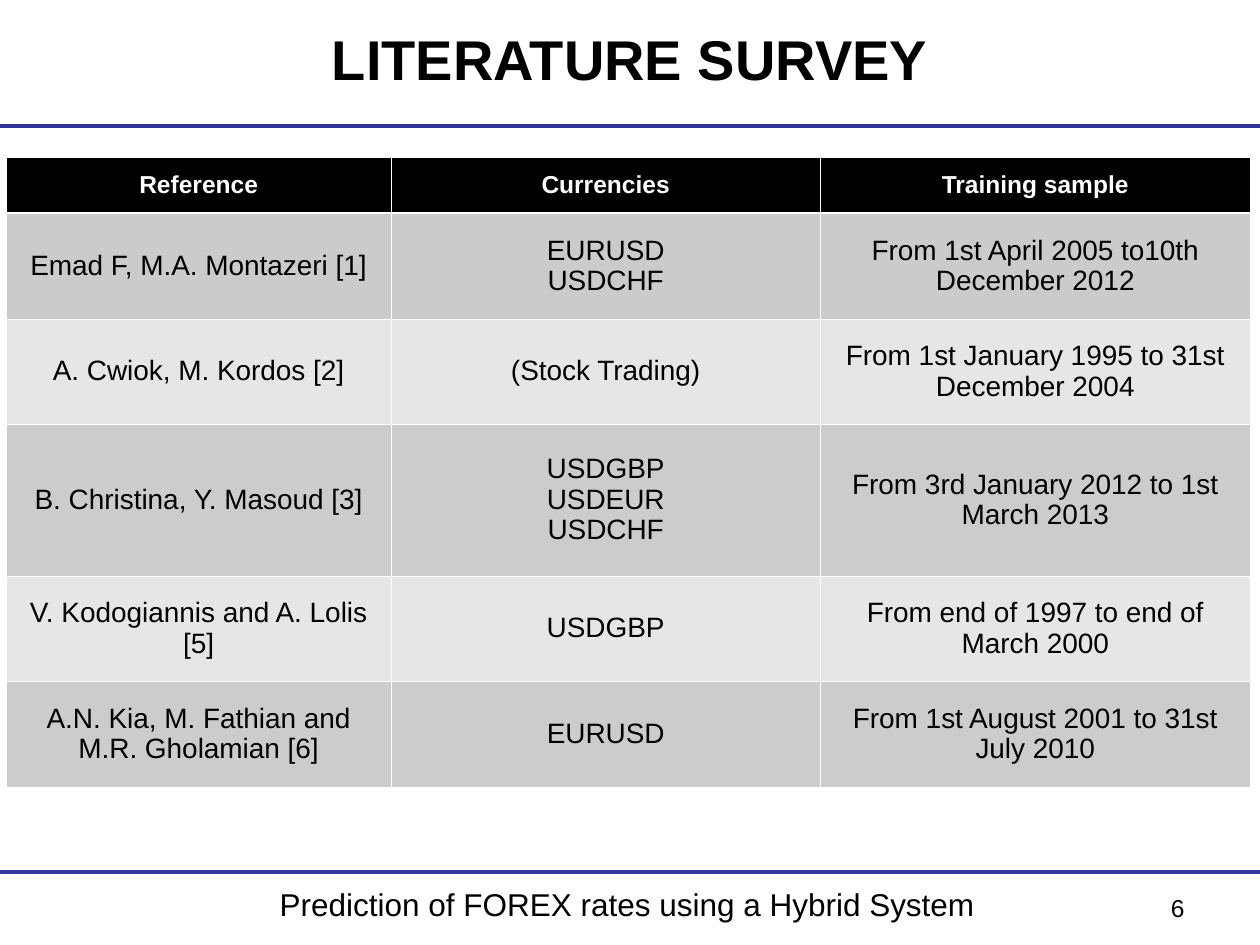
from dataclasses import dataclass

from lxml.etree import SubElement
from pptx import Presentation
from pptx.dml.color import RGBColor
from pptx.enum.shapes import MSO_CONNECTOR
from pptx.enum.text import MSO_ANCHOR, PP_ALIGN
from pptx.oxml import parse_xml
from pptx.oxml.ns import nsdecls, qn
from pptx.util import Cm, Pt

COLORS = {
    "rule": "333399",
    "text": "000000",
    "header": "000000",
    "white": "FFFFFF",
    "first": "CBCBCB",
    "dark": "CCCCCC",
    "light": "E6E6E6",
}
FONT = "Arial"
THIN, THICK = 0.45, 1.47
COLUMN_WIDTHS = (7.75, 8.66, 8.66)


@dataclass
class Label:
    text: str
    left: float
    top: float
    width: float
    height: float
    size: int
    align: PP_ALIGN = PP_ALIGN.CENTER
    anchor: MSO_ANCHOR = MSO_ANCHOR.TOP
    bold: bool = False


@dataclass
class Row:
    cells: tuple[str, str, str]
    fill: str
    height: float = 2.13


LABELS = [
    Label("LITERATURE SURVEY", 1.27, 0.33, 22.86, 1.78, 32,
          anchor=MSO_ANCHOR.MIDDLE, bold=True),
    Label("Prediction of FOREX rates using a Hybrid System",
          3.3, 17.75, 18.69, 1.14, 18),
    Label("6", 18.21, 17.91, 5.92, 1.32, 14, align=PP_ALIGN.RIGHT),
]

ROWS = [
    Row(("Reference", "Currencies", "Training sample"), "header", 1.12),
    Row(("Emad F, M.A. Montazeri [1]", "EURUSD\nUSDCHF",
         "From 1st April 2005 to10th December 2012"), "first"),
    Row(("A. Cwiok, M. Kordos [2]", "(Stock Trading)",
         "From 1st January 1995 to 31st December 2004"), "light"),
    Row(("B. Christina, Y. Masoud [3]", "USDGBP\nUSDEUR\nUSDCHF",
         "From 3rd January 2012 to 1st March 2013"), "dark", 3.05),
    Row(("V. Kodogiannis and A. Lolis [5]", "USDGBP",
         "From end of 1997 to end of March 2000"), "light"),
    Row(("A.N. Kia, M. Fathian and M.R. Gholamian [6]", "EURUSD",
         "From 1st August 2001 to 31st July 2010"), "dark"),
]


def rgb(name: str) -> RGBColor:
    return RGBColor.from_string(COLORS[name])


def write_text(tf, text: str, size: int, color: str,
               align: PP_ALIGN = PP_ALIGN.CENTER, bold: bool = False) -> None:
    tf.text = text
    for p in tf.paragraphs:
        p.alignment = align
        p.line_spacing = 0.98
        p.font.name = FONT
        p.font.size = Pt(size)
        p.font.bold = bold
        p.font.color.rgb = rgb(color)


def add_rule(s, y: float) -> None:
    sp = s.shapes.add_connector(MSO_CONNECTOR.STRAIGHT,
                                Cm(0), Cm(y), Cm(25.4), Cm(y))
    sp.line.color.rgb = rgb("rule")
    sp.line.width = Pt(2.25)
    SubElement(sp._element.spPr, qn("a:effectLst"))


def add_label(s, label: Label) -> None:
    sp = s.shapes.add_textbox(Cm(label.left), Cm(label.top),
                              Cm(label.width), Cm(label.height))
    tf = sp.text_frame
    tf.word_wrap = True
    tf.vertical_anchor = label.anchor
    write_text(tf, label.text, label.size, "text", label.align, label.bold)


def set_borders(cell, top: float, bottom: float) -> None:
    tcPr = cell._tc.get_or_add_tcPr()
    widths = {"lnL": THIN, "lnR": THIN, "lnT": top, "lnB": bottom}
    # Border lines must come before the fill
    for i, (tag, width) in enumerate(widths.items()):
        tcPr.insert(i, parse_xml(
            f'<a:{tag} {nsdecls("a")} w="{Pt(width)}"><a:solidFill>'
            f'<a:srgbClr val="{COLORS["white"]}"/></a:solidFill></a:{tag}>'))


def add_survey_table(s, rows: list[Row], left: float, top: float) -> None:
    table = s.shapes.add_table(
        len(rows), len(COLUMN_WIDTHS), Cm(left), Cm(top),
        Cm(sum(COLUMN_WIDTHS)), Cm(sum(row.height for row in rows))).table
    for column, width in zip(table.columns, COLUMN_WIDTHS):
        column.width = Cm(width)
    for i, row in enumerate(rows):
        table.rows[i].height = Cm(row.height)
        header = i == 0
        for cell, text in zip(table.rows[i].cells, row.cells):
            cell.fill.solid()
            cell.fill.fore_color.rgb = rgb(row.fill)
            cell.vertical_anchor = MSO_ANCHOR.MIDDLE
            write_text(cell.text_frame, text, 14 if header else 16,
                       "white" if header else "text", bold=header)
            set_borders(cell, top=THICK if i == 1 else THIN,
                        bottom=THICK if header else THIN)


def main() -> None:
    prs = Presentation()
    prs.slide_width, prs.slide_height = Cm(25.4), Cm(19.05)
    s = prs.slides.add_slide(prs.slide_layouts[6])

    # Rules under the title and above the footer
    for y in (2.54, 17.58):
        add_rule(s, y)

    # Title, footer and slide number
    for label in LABELS:
        add_label(s, label)

    # Literature table
    add_survey_table(s, ROWS, left=0.13, top=3.18)

    prs.save("out.pptx")


if __name__ == "__main__":
    main()
